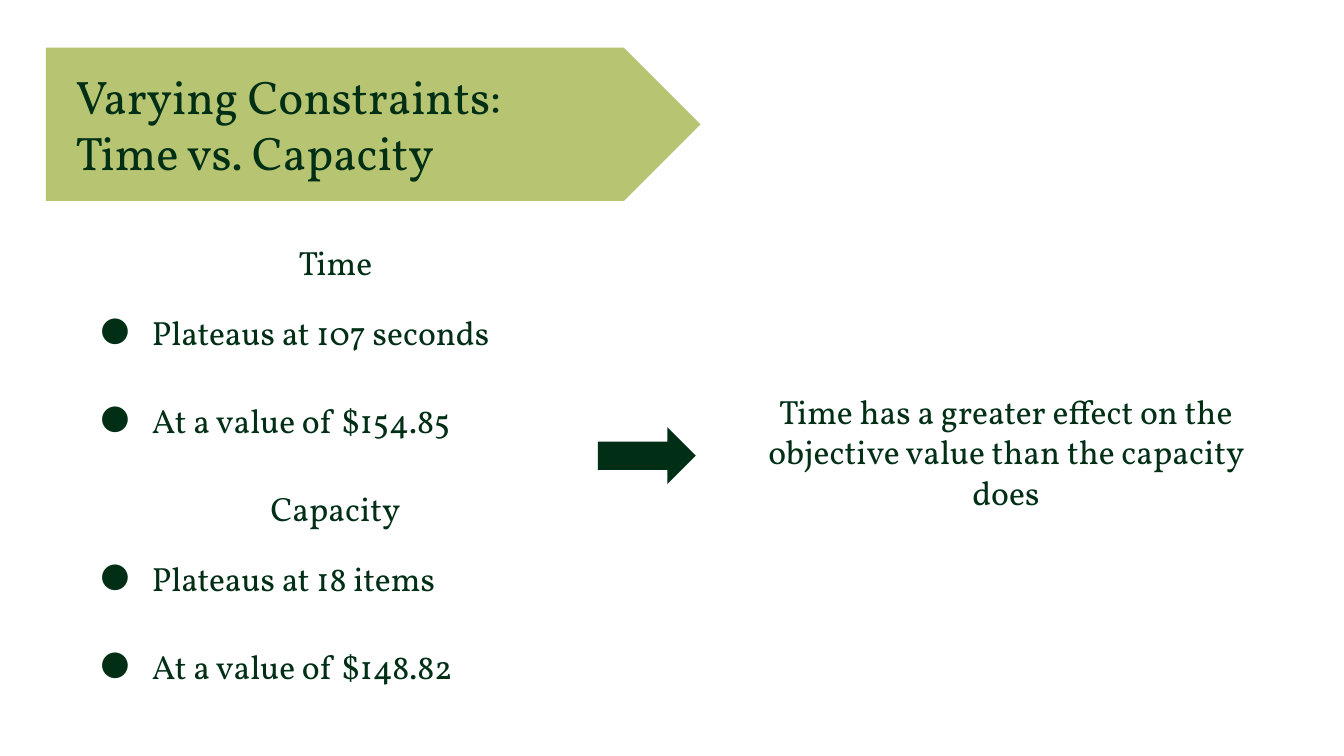
import pptx
import pptx.dml.color
import pptx.enum.shapes
import pptx.enum.text
import pptx.oxml
import pptx.oxml.ns
import pptx.util
from pptx.util import Cm

# Content
TITLE = ["Varying Constraints:", "Time vs. Capacity"]
CONSTRAINTS = [
    ("Time", ["Plateaus at 107 seconds", "At a value of $154.85"]),
    ("Capacity", ["Plateaus at 18 items", "At a value of $148.82"]),
]
CONCLUSION = "Time has a greater effect on the objective value than the capacity does"

THEME = {
    "font": "Vollkorn",
    "dark": "012F16",
    "banner": "B7C471",
    "title_size": 25.2,
    "body_size": 18,
}

# Layout, in centimetres
COLUMN_LEFT, COLUMN_WIDTH, LINE_HEIGHT = 1.35, 9.98, 1.27
GROUP_TOP, GROUP_STEP = 4.32, 4.65
FIRST_BULLET, BULLET_STEP = 1.32, 1.67
BULLET_INDENT, BULLET_HANGING = 1.27, 0.97


def add_filled_shape(slide, kind, left, top, width, height, color):
    shape = slide.shapes.add_shape(kind, Cm(left), Cm(top), Cm(width), Cm(height))
    shape.shadow.inherit = False
    shape.fill.solid()
    shape.fill.fore_color.rgb = pptx.dml.color.RGBColor.from_string(color)
    shape.line.fill.background()


def add_text(slide, lines, left, top, width, height, size,
             alignment=pptx.enum.text.PP_ALIGN.LEFT,
             anchor=pptx.enum.text.MSO_ANCHOR.TOP):
    box = slide.shapes.add_textbox(Cm(left), Cm(top), Cm(width), Cm(height))
    frame = box.text_frame
    frame.word_wrap = True
    frame.vertical_anchor = anchor
    frame.margin_left = frame.margin_right = Cm(0.25)
    frame.margin_top = frame.margin_bottom = Cm(0.25)
    frame.text = "\n".join(lines)
    for paragraph in frame.paragraphs:
        paragraph.alignment = alignment
        paragraph.font.name = THEME["font"]
        paragraph.font.size = pptx.util.Pt(size)
        paragraph.font.color.rgb = pptx.dml.color.RGBColor.from_string(THEME["dark"])
    return frame


def add_bullet(paragraph):
    properties = paragraph._p.get_or_add_pPr()
    properties.set("marL", str(Cm(BULLET_INDENT)))
    properties.set("indent", str(-Cm(BULLET_HANGING)))
    namespace = pptx.oxml.ns.nsdecls("a")
    bullet_parts = [
        f'<a:buClr {namespace}><a:srgbClr val="{THEME["dark"]}"/></a:buClr>',
        f'<a:buFont {namespace} typeface="{THEME["font"]}"/>',
        f'<a:buChar {namespace} char="●"/>',
    ]
    for position, part in enumerate(bullet_parts):
        properties.insert(position, pptx.oxml.parse_xml(part))


def main():
    presentation = pptx.Presentation()
    presentation.slide_width, presentation.slide_height = Cm(25.4), Cm(14.29)
    slide = presentation.slides.add_slide(presentation.slide_layouts[6])
    shapes = pptx.enum.shapes.MSO_SHAPE
    centered = pptx.enum.text.PP_ALIGN.CENTER

    # Title banner
    add_filled_shape(slide, shapes.PENTAGON, 0.87, 0.9, 12.37, 2.9, THEME["banner"])
    add_text(slide, TITLE, 1.18, 1.4, 10.97, 1.88, THEME["title_size"],
             anchor=pptx.enum.text.MSO_ANCHOR.MIDDLE)

    # Constraint groups: heading with bullets below
    for group, (heading, findings) in enumerate(CONSTRAINTS):
        top = GROUP_TOP + group * GROUP_STEP
        add_text(slide, [heading], COLUMN_LEFT, top, COLUMN_WIDTH, LINE_HEIGHT,
                 THEME["body_size"], centered)
        for row, finding in enumerate(findings):
            frame = add_text(slide, [finding], COLUMN_LEFT,
                             top + FIRST_BULLET + row * BULLET_STEP,
                             COLUMN_WIDTH, LINE_HEIGHT, THEME["body_size"])
            add_bullet(frame.paragraphs[0])

    # Arrow to the conclusion
    add_filled_shape(slide, shapes.RIGHT_ARROW, 11.3, 8.08, 1.85, 1.07, THEME["dark"])
    add_text(slide, [CONCLUSION], 14.02, 7.14, COLUMN_WIDTH, 2.82,
             THEME["body_size"], centered)

    presentation.save("out.pptx")


if __name__ == "__main__":
    main()
